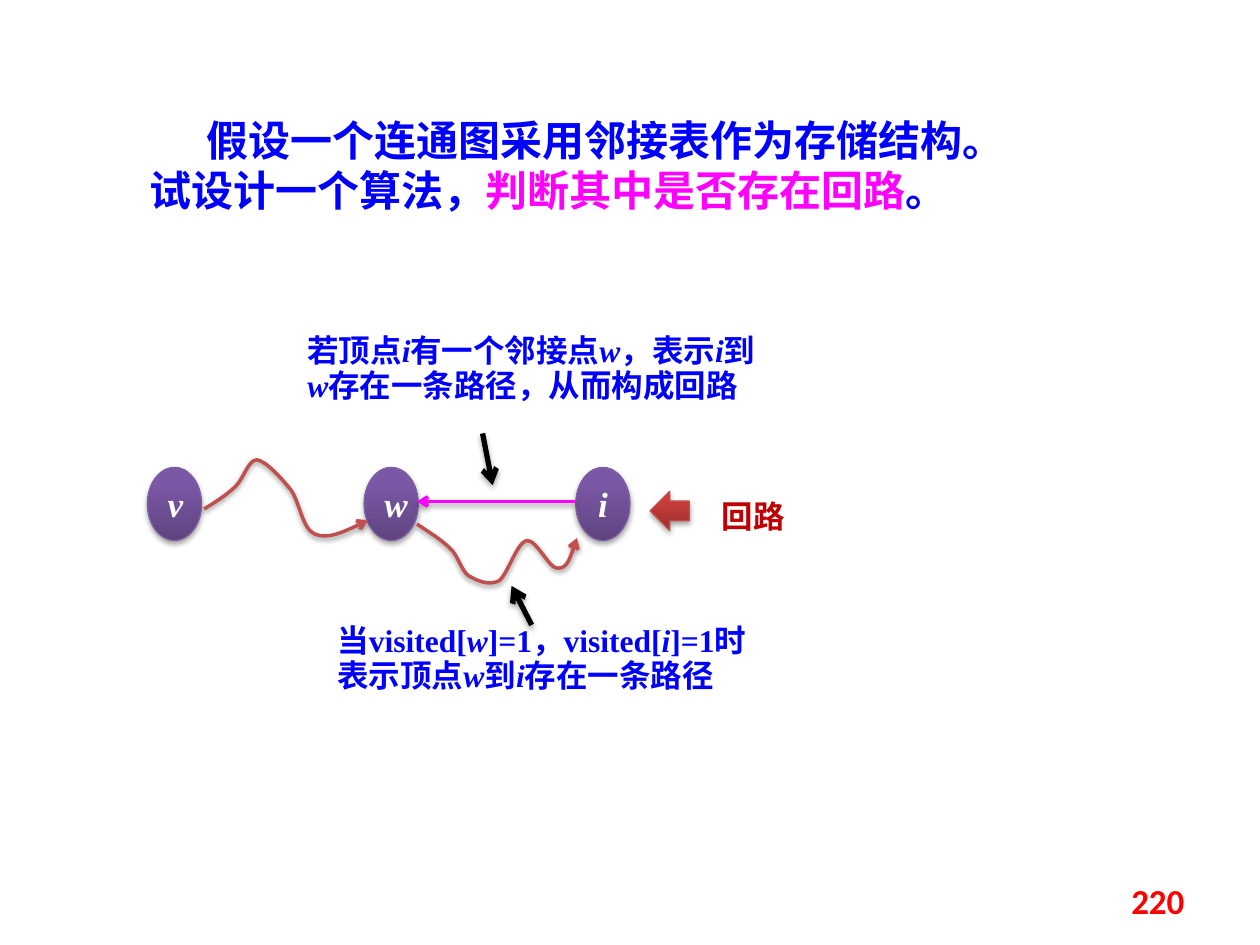
import pptx
import pptx.util
import pptx.dml.color
import pptx.enum.shapes
import pptx.enum.text
import pptx.oxml
import pptx.oxml.ns
import lxml.etree

Inches, Pt = pptx.util.Inches, pptx.util.Pt
SHAPE = pptx.enum.shapes.MSO_SHAPE
ALIGN = pptx.enum.text.PP_ALIGN
ANCHOR = pptx.enum.text.MSO_ANCHOR
qn = pptx.oxml.ns.qn
LATIN, HAN = "Times New Roman", "Noto Sans CJK SC"
COLORS = {
    "blue": "0000FF", "pink": "FF00FF", "white": "FFFFFF", "black": "000000",
    "red": "FF0000", "dark": "C00000", "brick": "C0504D",
    "plum": "7D60A0", "rust": "BF4C48",
}
BLENDS = {
    "plum": [(0, "5F4480"), (80, "7B58A6"), (100, "7C57A8")],
    "rust": [(0, "9C2F2D"), (80, "CB3E3A"), (100, "CE3B37")],
}


def rgb(name):
    return pptx.dml.color.RGBColor.from_string(COLORS[name])


def add(parent, tag, **attrs):
    node = lxml.etree.SubElement(parent, qn("a:" + tag))
    for key, value in attrs.items():
        node.set(key, str(value))
    return node


class Deck:
    def __init__(self, wide, high):
        self.show = pptx.Presentation()
        self.show.slide_width = Inches(wide)
        self.show.slide_height = Inches(high)
        self.slide = self.show.slides.add_slide(self.show.slide_layouts[6])
        self.shapes = self.slide.shapes

    def shade(self, shape, alpha=35, dist=1.8):
        props = shape._element.spPr
        effects = props.find(qn("a:effectLst"))
        if effects is None:
            effects = add(props, "effectLst")
        cast = add(effects, "outerShdw", blurRad=Pt(3.1), dist=Pt(dist),
                   dir=90 * 60000, rotWithShape=0)
        add(add(cast, "srgbClr", val=COLORS["black"]), "alpha", val=alpha * 1000)

    def style(self, para, size, color, face=LATIN, italic=None):
        font = para.font
        font.size, font.bold, font.italic = Pt(size), True, italic
        font.color.rgb = rgb(color)
        font.name = face
        add(font._element, "ea", typeface=HAN)

    def text(self, box, words, size, color, face=LATIN, mark=None,
             space=None, indent=0, align=ALIGN.LEFT, anchor=ANCHOR.TOP):
        """Words between bars take the mark colour, or italics without one."""
        frame = self.shapes.add_textbox(*map(Inches, box)).text_frame
        frame.word_wrap = True
        frame.vertical_anchor = anchor
        para = frame.paragraphs[0]
        para.alignment = align
        if space:
            para.line_spacing = Pt(space)
        if indent:
            para._p.get_or_add_pPr().set("indent", str(Inches(indent)))
        self.style(para, size, color, face)
        for turn, part in enumerate(words.split("|")):
            run = para.add_run()
            run.text = part
            if turn % 2 and mark:
                run.font.color.rgb = rgb(mark)
            elif turn % 2:
                run.font.italic = True

    def solid(self, kind, box, tone, label=None):
        shape = self.shapes.add_shape(kind, *map(Inches, box))
        shape.shadow.inherit = False
        shape.line.color.rgb = rgb(tone)
        shape.line.width = Pt(0.75)
        blend = lxml.etree.Element(qn("a:gradFill"))
        stops = add(blend, "gsLst")
        for spot, color in BLENDS[tone]:
            add(add(stops, "gs", pos=spot * 1000), "srgbClr", val=color)
        add(blend, "lin", ang=270 * 60000, scaled=0)
        shape._element.spPr.find(qn("a:prstGeom")).addnext(blend)
        self.shade(shape)
        if label:
            frame = shape.text_frame
            frame.vertical_anchor = ANCHOR.MIDDLE
            para = frame.paragraphs[0]
            para.alignment = ALIGN.CENTER
            self.style(para, 20, "white", italic=True)
            para.add_run().text = label

    def stroke(self, shape, color, width):
        shape.line.color.rgb = rgb(color)
        shape.line.width = Pt(width)
        add(shape.line._get_or_add_ln(), "tailEnd", type="arrow")

    def arrow(self, start, end, color, width):
        kind = pptx.enum.shapes.MSO_CONNECTOR.STRAIGHT
        line = self.shapes.add_connector(kind, *map(Inches, start + end))
        self.stroke(line, color, width)
        self.shade(line)

    def curve(self, *points):
        """After the start, each three points are one cubic Bezier piece."""
        start, *rest = [(Inches(x), Inches(y)) for x, y in points]
        pen = self.shapes.build_freeform(*start)
        pen.add_line_segments(rest, close=False)
        shape = pen.convert_to_shape()
        shape.shadow.inherit = False
        shape.fill.background()
        track = next(shape._element.iter(qn("a:path")))
        steps = track.findall(qn("a:lnTo"))
        for first in range(0, len(steps), 3):
            piece = add(track, "cubicBezTo")
            for step in steps[first:first + 3]:
                piece.append(step[0])
                track.remove(step)
        self.stroke(shape, "brick", 2)
        self.shade(shape, alpha=38, dist=1.6)


def main():
    deck = Deck(10, 7.5)
    deck.text((1.09, 0.86, 7.19, 0.99),
              "假设一个连通图采用邻接表作为存储结构。试设计一个算法，"
              "|判断其中是否存在回路|。", 24, "blue", mark="pink", indent=0.45)

    for name, left in (("v", 1.17), ("w", 2.89), ("i", 4.57)):
        deck.solid(SHAPE.OVAL, (left, 3.71, 0.43, 0.58), "plum", name)
    deck.curve((1.62, 4.04),
               (1.72, 3.98), (1.81, 3.92), (1.87, 3.86),
               (1.94, 3.79), (1.97, 3.65), (2.04, 3.65),
               (2.11, 3.66), (2.23, 3.79), (2.31, 3.89),
               (2.38, 3.99), (2.4, 4.2), (2.5, 4.24),
               (2.6, 4.28), (2.76, 4.21), (2.92, 4.13))
    deck.curve((3.31, 4.16),
               (3.4, 4.22), (3.5, 4.28), (3.57, 4.35),
               (3.64, 4.41), (3.66, 4.53), (3.72, 4.57),
               (3.79, 4.61), (3.88, 4.65), (3.96, 4.61),
               (4.03, 4.56), (4.1, 4.31), (4.18, 4.29),
               (4.26, 4.28), (4.36, 4.52), (4.43, 4.51),
               (4.5, 4.51), (4.54, 4.39), (4.58, 4.27))

    deck.text((2.58, 4.9, 3.52, 0.66),
              "当visited[|w|]=1，visited[|i|]=1时表示顶点|w|到|i|存在一条路径",
              18, "blue", space=20)
    deck.arrow((4.22, 4.96), (4.06, 4.65), "black", 3)
    deck.arrow((4.57, 3.98), (3.31, 3.98), "pink", 2)
    deck.text((2.34, 2.6, 3.91, 0.66),
              "若顶点|i|有一个邻接点|w|，表示|i|到|w|存在一条路径，从而构成回路",
              18, "blue", space=20)
    deck.arrow((3.83, 3.44), (3.91, 3.85), "black", 3)

    deck.text((5.63, 3.78, 0.86, 0.52), "回路", 18, "dark", face=HAN, space=30)
    deck.solid(SHAPE.LEFT_ARROW, (5.16, 3.9, 0.31, 0.31), "rust")
    deck.text((7.17, 6.95, 2.33, 0.4), "220", 20, "red", face="Calibri",
              align=ALIGN.RIGHT, anchor=ANCHOR.MIDDLE)
    deck.show.save("out.pptx")


if __name__ == "__main__":
    main()
